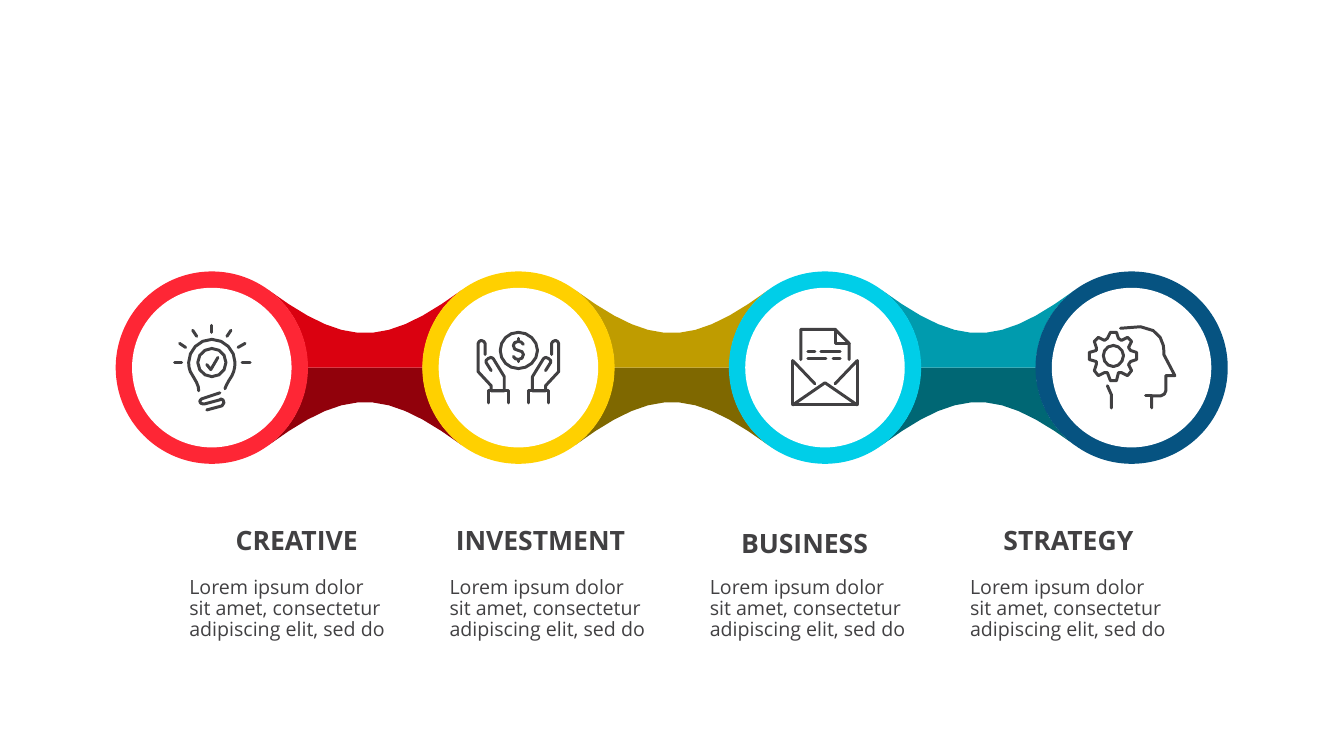
import math

from pptx import Presentation
from pptx.dml.color import RGBColor
from pptx.enum import shapes, text
from pptx.oxml import ns
from pptx.util import Pt

COLORS = {
    "white": "FFFFFF", "ink": "414042",
    "red": "FE2635", "yellow": "FFD000", "cyan": "00CEE8", "navy": "065381",
    "red_mid": "DA0110", "yellow_mid": "BF9C00", "cyan_mid": "009BAE",
    "red_dark": "91010B", "yellow_dark": "7F6800", "cyan_dark": "006774",
}
RGB = {name: RGBColor.from_string(value) for name, value in COLORS.items()}
GRID = 0.72  # points per step of the outlines below
FIRST_X, PITCH, CENTER_Y = 151.4, 219.1, 262.6

# Outlines around their own centre: M move, L line, C cubic curve, Z close
BRIDGE = "M 57 0 L -57 0 C -57 31 -72 60 -96 77 C -18 20 18 20 96 77 C 72 60 57 31 57 0 Z"
BULB = """
M -13 23 C -13 19 -14 16 -19 8 C -22 4 -23 0 -23 -5 C -23 -17 -13 -28 0 -28
C 13 -28 23 -17 23 -5 C 23 0 22 4 20 8 C 16 14 14 18 13 21
M 0 -19 C -7 -19 -14 -13 -14 -5 C -14 3 -7 9 0 9 C 8 9 14 3 14 -5
C 14 -13 8 -19 0 -19 Z
M -5 -3 L -1 2 L 6 -10
M 0 -35 L 0 -42 M -15 -31 L -19 -37 M -32 -24 L -26 -20 M -37 -5 L -30 -5
M 19 -37 L 15 -31 M 33 -24 L 26 -20 M 30 -5 L 38 -5
M 8 25 L -10 31 C -11 31 -12 32 -12 33 C -12 35 -11 36 -9 36 L -7 36 L 8 32
L 9 31 C 11 31 12 33 12 35 C 12 36 11 37 10 38 L -5 42"""
HAND = """
M -27 3 L -32 -5 C -33 -6 -32 -8 -30 -9 C -28 -11 -26 -10 -25 -9 L -14 9
L -14 23 L -27 23 L -27 18 L -40 4 L -40 -24 C -40 -25 -38 -27 -37 -27
C -35 -27 -33 -25 -33 -24 L -33 -13
M -10 35 L -10 23 L -30 23 L -30 35"""
COIN = """
M 0 -35 C -10 -35 -18 -27 -18 -17 C -18 -7 -10 1 0 1 C 10 1 19 -7 19 -17
C 19 -27 10 -35 0 -35 Z
M -5 -11 C -4 -9 -2 -8 0 -8 C 3 -8 5 -10 5 -13 C 5 -15 3 -17 0 -17
C -3 -17 -5 -19 -5 -22 C -5 -24 -3 -26 0 -26 C 2 -26 4 -25 5 -23
M 0 -26 L 0 -29 M 0 -6 L 0 -8"""
ENVELOPE = """
M 32 -7 L 32 37 L -32 37 L -32 -7 M 32 37 L 0 15 L -32 37
M 32 -7 L 10 16 M -32 -7 L -10 16
M 24 -8 L 24 -24 L 10 -38 L -24 -38 L -24 -8 M 10 -38 L 10 -24 L 24 -24
M -10 -16 L -17 -16 M 15 -16 L -4 -16 M -17 -9 L 1 -9 M 15 -9 L 8 -9"""
HEAD = """
M -11 -39 C 37 -49 32 -13 32 -13 L 43 8 L 34 8 L 34 23 C 34 25 32 28 29 28
L 20 28 L 20 40 M 20 28 L 14 28 M -20 40 L -20 27 L -24 18
M 5 -8 L 5 -15 L -1 -17 L -3 -20 L 0 -26 L -4 -30 L -10 -27 L -13 -29
L -15 -35 L -21 -35 L -24 -29 L -27 -27 L -33 -30 L -37 -26 L -35 -20
L -35 -17 L -42 -15 L -42 -8 L -35 -6 L -35 -3 L -37 3 L -33 8 L -27 5
L -24 5 L -21 13 L -15 13 L -13 5 L -10 5 L -4 8 L 0 3 L -3 -3 L -1 -6 Z
M -18 -22 C -24 -22 -28 -17 -28 -12 C -28 -6 -24 -1 -18 -1
C -13 -1 -8 -6 -8 -12 C -8 -17 -13 -22 -18 -22 Z"""


def trace(outline, flip_x=1, flip_y=1):
    """Turn an outline into contours, each a list of points and a closed flag."""
    contours, tokens = [], iter(outline.split())
    for command in tokens:
        if command == "Z":
            contours[-1][1] = True
            continue
        pairs = [(float(next(tokens)) * flip_x, float(next(tokens)) * flip_y)
                 for _ in range(3 if command == "C" else 1)]
        if command == "M":
            contours.append([pairs, False])
        elif command == "L":
            contours[-1][0].extend(pairs)
        else:
            points = contours[-1][0]
            ends = [points[-1], *pairs]
            # Longer curves get more steps
            length = sum(math.dist(a, b) for a, b in zip(ends, pairs))
            steps = max(1, round(0.7 * math.sqrt(length)))
            for step in range(1, steps + 1):
                t = step / steps
                weights = ((1 - t) ** 3, 3 * t * (1 - t) ** 2, 3 * t * t * (1 - t), t ** 3)
                points.append(tuple(sum(w * end[axis] for w, end in zip(weights, ends))
                                    for axis in (0, 1)))
    return contours


def draw(contours, center_x, fill=None):
    """Draw contours as one freeform: filled, or stroked when there is no fill."""
    builder = None
    for points, closed in contours:
        placed = [(Pt(center_x + x * GRID), Pt(CENTER_Y + y * GRID)) for x, y in points]
        if builder is None:
            builder = page.shapes.build_freeform(*placed[0], scale=1.0)
        else:
            builder.move_to(*placed[0])
        builder.add_line_segments(placed[1:], close=closed)
    shape = builder.convert_to_shape()
    shape.shadow.inherit = False
    if fill:
        shape.fill.solid()
        shape.fill.fore_color.rgb = RGB[fill]
        shape.line.fill.background()
    else:
        shape.fill.background()
        shape.line.color.rgb = RGB["ink"]
        shape.line.width = Pt(2.13)
        shape.element.spPr.find(ns.qn("a:ln")).set("cap", "rnd")


deck = Presentation()
deck.slide_width, deck.slide_height = Pt(960.5), Pt(540)
page = deck.slides.add_slide(deck.slide_layouts[6])

# Bridges between neighbouring rings
for index, hue in enumerate(("red", "yellow", "cyan")):
    middle = FIRST_X + PITCH * (index + 0.5)
    draw(trace(BRIDGE), middle, f"{hue}_dark")
    draw(trace(BRIDGE, flip_y=-1), middle, f"{hue}_mid")

# Rings with their icons
icons = {
    "red": trace(BULB),
    "yellow": trace(HAND) + trace(HAND, flip_x=-1) + trace(COIN),
    "cyan": trace(ENVELOPE),
    "navy": trace(HEAD),
}
for index, (hue, icon) in enumerate(icons.items()):
    center = FIRST_X + PITCH * index
    for color, size in ((hue, 137.4), ("white", 114)):
        disc = page.shapes.add_shape(
            shapes.MSO_SHAPE.OVAL, Pt(center - size / 2), Pt(CENTER_Y - size / 2),
            Pt(size), Pt(size))
        disc.shadow.inherit = False
        disc.fill.solid()
        disc.fill.fore_color.rgb = RGB[color]
        disc.line.fill.background()
    draw(icon, center)

# Headings and descriptions
BODY = "Lorem ipsum dolor sit amet, consectetur adipiscing elit, sed do"
HEADING_FONT = {"name": "Open Sans", "size": Pt(19), "bold": True}
BODY_FONT = {"name": "Open Sans", "size": Pt(14), "bold": False}
headings = (("CREATIVE", 144, 373), ("INVESTMENT", 318.2, 373),
            ("BUSINESS", 506.9, 375.2), ("STRATEGY", 695.5, 373))
for index, (heading, left, top) in enumerate(headings):
    for words, place, font, align in (
        (heading, (left, top, 136.1, 29.5), HEADING_FONT, text.PP_ALIGN.CENTER),
        (BODY, (128.2 + 186 * index, 409, 154.1, 80.6), BODY_FONT, text.PP_ALIGN.LEFT),
    ):
        box = page.shapes.add_textbox(*map(Pt, place))
        box.text_frame.word_wrap = True
        para = box.text_frame.paragraphs[0]
        para.alignment = align
        para.line_spacing = 0.9
        span = para.add_run()
        span.text = words
        for name, value in font.items():
            setattr(span.font, name, value)
        span.font.color.rgb = RGB["ink"]

deck.save("out.pptx")
